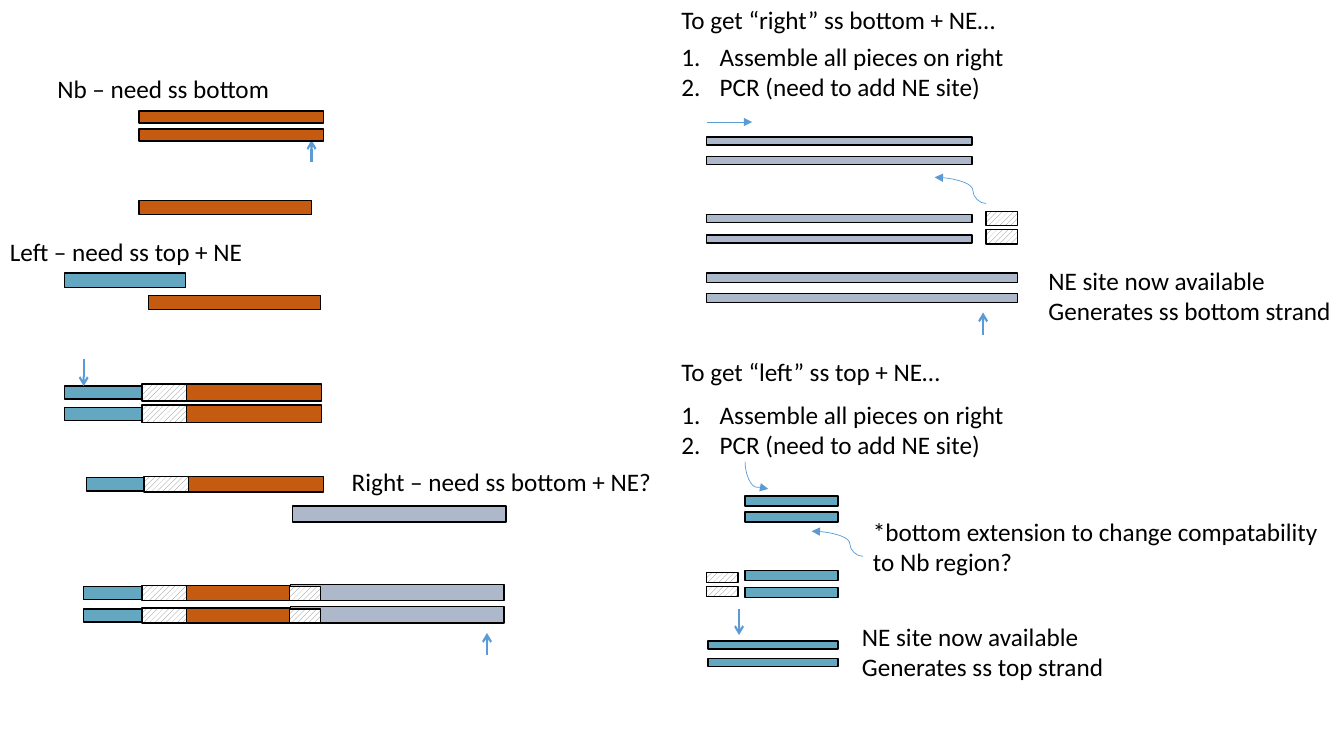
from lxml import etree
from pptx import Presentation
from pptx.dml.color import RGBColor
from pptx.enum.dml import MSO_PATTERN
from pptx.enum.shapes import MSO_CONNECTOR, MSO_SHAPE
from pptx.enum.text import MSO_AUTO_SIZE
from pptx.oxml.ns import qn
from pptx.util import Inches, Pt

BLACK = RGBColor(0x00, 0x00, 0x00)
WHITE = RGBColor(0xFF, 0xFF, 0xFF)
HATCH_GRAY = RGBColor(0x80, 0x80, 0x80)
ORANGE = RGBColor(0xC5, 0x5A, 0x11)
TEAL = RGBColor(0x63, 0xA8, 0xC0)
LAVENDER = RGBColor(0xAD, 0xB9, 0xCA)
ARROW_BLUE = RGBColor(0x5B, 0x9B, 0xD5)
HATCH = "hatch"
PCR_STEPS = ["Assemble all pieces on right", "PCR (need to add NE site)"]


def add_strand(shapes, fill, left, top, width, height):
    """One DNA piece, either a solid colour or hatched."""
    shape = shapes.add_shape(MSO_SHAPE.RECTANGLE, Inches(left), Inches(top),
                             Inches(width), Inches(height))
    shape.shadow.inherit = False
    if fill == HATCH:
        shape.fill.patterned()
        shape.fill.pattern = MSO_PATTERN.WIDE_UPWARD_DIAGONAL
        shape.fill.fore_color.rgb = HATCH_GRAY
        shape.fill.back_color.rgb = WHITE
    else:
        shape.fill.solid()
        shape.fill.fore_color.rgb = fill
    shape.line.color.rgb = BLACK
    shape.line.width = Pt(1)


def add_pair(shapes, fill, left, tops, width, height):
    """Top and bottom strand of the same piece."""
    for top in tops:
        add_strand(shapes, fill, left, top, width, height)


def add_fusion(shapes, left, hatch_left, top, height):
    """Teal piece joined to the orange one through a hatched overlap."""
    add_strand(shapes, TEAL, left, top + (height - 0.13) / 2,
               hatch_left + 0.05 - left, 0.13)
    add_strand(shapes, HATCH, hatch_left, top, 1.71, height)
    add_strand(shapes, ORANGE, hatch_left + 0.44, top, 1.34, height)


def add_arrow(shapes, start, end, width=1.5, head="arrow", kind=MSO_CONNECTOR.STRAIGHT):
    connector = shapes.add_connector(kind, *map(Inches, start + end))
    connector.line.color.rgb = ARROW_BLUE
    connector.line.width = Pt(width)
    line = connector.line._get_or_add_ln()
    etree.SubElement(line, qn("a:tailEnd"), type=head)
    etree.SubElement(connector._element.spPr, qn("a:effectLst"))
    return connector


def add_primer(shapes, start, end, bend, rotation=0):
    """Curved primer arrow; bend is the place of the turn in 1/100000."""
    connector = add_arrow(shapes, start, end, 0.5, "triangle", MSO_CONNECTOR.CURVE)
    properties = connector._element.spPr
    adjustments = properties.find(qn("a:prstGeom")).find(qn("a:avLst"))
    etree.SubElement(adjustments, qn("a:gd"), name="adj1", fmla=f"val {bend}")
    if rotation:
        properties.find(qn("a:xfrm")).set("rot", str(rotation * 60000))


def add_label(shapes, left, top, width, lines, numbered=False):
    box = shapes.add_textbox(Inches(left), Inches(top), Inches(width),
                             Inches(0.4 if len(lines) == 1 else 0.71))
    frame = box.text_frame
    frame.word_wrap = False
    frame.auto_size = MSO_AUTO_SIZE.SHAPE_TO_FIT_TEXT
    for index, line in enumerate(lines):
        paragraph = frame.add_paragraph() if index else frame.paragraphs[0]
        run = paragraph.add_run()
        run.text = line
        run.font.name = "Calibri"
        run.font.size = Pt(18)
        run.font.color.rgb = BLACK
        if numbered:
            properties = paragraph._p.get_or_add_pPr()
            properties.set("marL", str(Inches(0.38)))
            properties.set("indent", str(-Inches(0.38)))
            etree.SubElement(properties, qn("a:buFont"), typeface="+mj-lt")
            etree.SubElement(properties, qn("a:buAutoNum"), type="arabicPeriod")


def draw_nb(shapes):
    add_label(shapes, 0.47, 0.68, 2.33, ["Nb – need ss bottom"])
    add_arrow(shapes, (3.09, 1.61), (3.09, 1.39))
    add_pair(shapes, ORANGE, 1.38, (1.1, 1.28), 1.83, 0.12)
    add_strand(shapes, ORANGE, 1.38, 1.99, 1.71, 0.14)


def draw_left_assembly(shapes):
    add_label(shapes, 0, 2.3, 2.54, ["Left – need ss top + NE"])
    pieces = shapes.add_group_shape().shapes
    add_strand(pieces, ORANGE, 1.47, 2.93, 1.71, 0.14)
    add_strand(pieces, TEAL, 0.64, 2.71, 1.2, 0.14)

    joined = shapes.add_group_shape().shapes
    for top in (3.81, 4.02):
        add_fusion(joined, 0.64, 1.41, top, 0.17)
    add_arrow(joined, (0.83, 3.56), (0.83, 3.83))


def draw_right_assembly(shapes):
    add_label(shapes, 3.39, 4.58, 3.21, ["Right – need ss bottom + NE?"])
    pieces = shapes.add_group_shape().shapes
    add_fusion(pieces, 0.86, 1.43, 4.73, 0.15)
    add_strand(pieces, LAVENDER, 2.9, 5.02, 2.12, 0.16)

    joined = shapes.add_group_shape().shapes
    for top in (5.81, 6.03):
        add_fusion(joined, 0.83, 1.41, top, 0.15)
        add_strand(joined, LAVENDER, 2.88, top - 0.01, 2.12, 0.16)
        add_strand(joined, HATCH, 2.87, top + 0.01, 0.31, 0.14)
    add_arrow(joined, (4.83, 6.5), (4.83, 6.28))


def draw_right_pcr(shapes):
    add_label(shapes, 6.66, -0.01, 3.35, ["To get “right” ss bottom + NE…"])
    add_label(shapes, 6.66, 0.36, 3.43, PCR_STEPS, numbered=True)
    add_arrow(shapes, (7.01, 1.21), (7.46, 1.21), 0.5, "triangle")
    add_pair(shapes, LAVENDER, 7.01, (1.36, 1.55), 2.63, 0.08)
    add_primer(shapes, (9.78, 2.02), (9.27, 1.76), 25700)
    # Piece with the added site
    for strand_top, site_top in ((2.13, 2.1), (2.33, 2.28)):
        extended = shapes.add_group_shape().shapes
        add_strand(extended, LAVENDER, 7.01, strand_top, 2.63, 0.08)
        add_strand(extended, HATCH, 9.78, site_top, 0.31, 0.14)
    # Product
    add_pair(shapes, LAVENDER, 7.01, (2.71, 2.91), 3.08, 0.09)
    add_arrow(shapes, (9.75, 3.32), (9.75, 3.1))
    add_label(shapes, 10.3, 2.58, 3.04,
              ["NE site now available", "Generates ss bottom strand"])


def draw_left_pcr(shapes):
    add_label(shapes, 6.66, 3.49, 2.88, ["To get “left” ss top + NE…"])
    add_label(shapes, 6.66, 3.91, 3.43, PCR_STEPS, numbered=True)
    template = shapes.add_group_shape().shapes
    add_pair(template, TEAL, 7.39, (4.92, 5.08), 0.92, 0.1)
    add_primer(template, (7.64, 4.6), (7.37, 4.83), 94100, rotation=270)
    add_primer(template, (8.56, 5.52), (8.05, 5.27), 25700)
    add_label(shapes, 8.56, 5.07, 4.67,
              ["*bottom extension to change compatability", "to Nb region?"])
    # Piece with the added site
    extended = shapes.add_group_shape().shapes
    add_pair(extended, HATCH, 7.01, (5.68, 5.82), 0.31, 0.1)
    add_pair(extended, TEAL, 7.39, (5.66, 5.83), 0.92, 0.1)
    # Product
    product = shapes.add_group_shape().shapes
    add_pair(product, TEAL, 7.02, (6.36, 6.53), 1.29, 0.08)
    add_arrow(shapes, (7.33, 6.04), (7.33, 6.3))
    add_label(shapes, 8.45, 6.11, 2.62,
              ["NE site now available", "Generates ss top strand"])


def main():
    presentation = Presentation()
    presentation.slide_width = Inches(13.33)
    presentation.slide_height = Inches(7.5)
    slide = presentation.slides.add_slide(presentation.slide_layouts[6])

    # Left half: the three assemblies
    draw_nb(slide.shapes)
    draw_left_assembly(slide.shapes)
    draw_right_assembly(slide.shapes)

    # Right half: the two PCR routes
    draw_right_pcr(slide.shapes)
    draw_left_pcr(slide.shapes)

    presentation.save("out.pptx")


if __name__ == "__main__":
    main()
